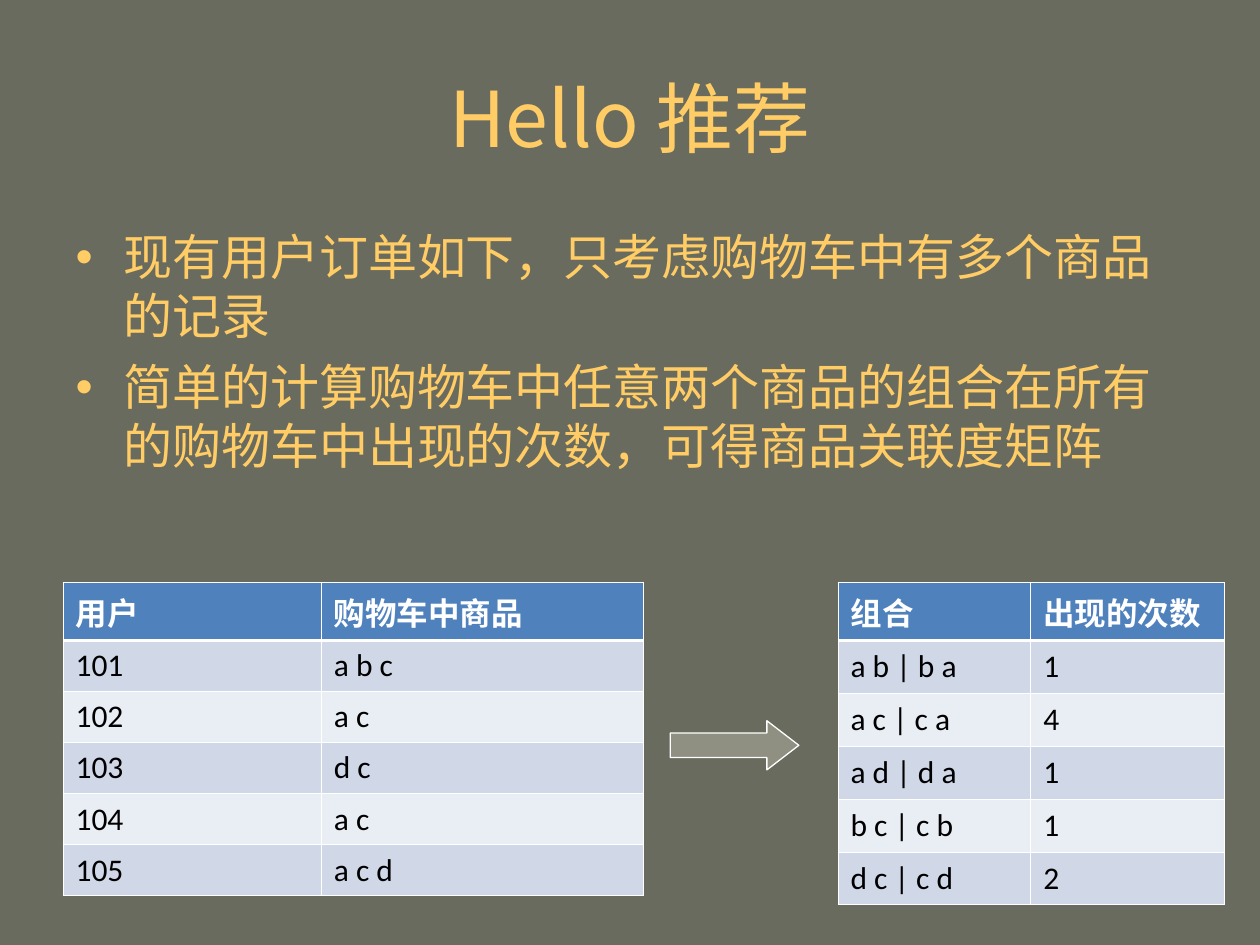
from lxml.etree import SubElement
from pptx import Presentation
from pptx.dml.color import RGBColor
from pptx.enum.shapes import MSO_SHAPE
from pptx.enum.text import MSO_ANCHOR, PP_ALIGN
from pptx.oxml.ns import qn
from pptx.util import Inches, Pt


def color(hex_value):
    return RGBColor.from_string(hex_value)


class SlideBuilder:
    """Holds the style and the current slide."""

    accent = "FFCC66"
    white = "FFFFFF"
    header_fill = "4F81BD"
    band_fills = ("D0D8E8", "E9EDF4")
    east_asian_font = "Noto Sans CJK SC"
    thin, thick = 0.45, 1.47

    def __init__(self, presentation, background):
        layout = presentation.slide_layouts[1]
        self.slide = presentation.slides.add_slide(layout)
        fill = self.slide.background.fill
        fill.solid()
        fill.fore_color.rgb = color(background)

    def place(self, shape, left, top, width, height):
        position = {"left": left, "top": top, "width": width, "height": height}
        for name, value in position.items():
            setattr(shape, name, Inches(value))

    def add_text(self, paragraph, text, hex_value, **font_format):
        run = paragraph.add_run()
        run.text = text
        for name, value in font_format.items():
            setattr(run.font, name, value)
        run.font.color.rgb = color(hex_value)
        SubElement(run.font._element, qn("a:ea"), typeface=self.east_asian_font)

    def title(self, text, *box):
        shape = self.slide.shapes.title
        self.place(shape, *box)
        shape.text_frame.vertical_anchor = MSO_ANCHOR.MIDDLE
        paragraph = shape.text_frame.paragraphs[0]
        paragraph.alignment = PP_ALIGN.CENTER
        self.add_text(paragraph, text, self.accent, size=Pt(44), name=self.east_asian_font)

    def bullets(self, items, *box):
        shape = self.slide.placeholders[1]
        self.place(shape, *box)
        for index, text in enumerate(items):
            frame = shape.text_frame
            paragraph = frame.add_paragraph() if index else frame.paragraphs[0]
            paragraph.space_before = Pt(7 if index else 0)
            properties = paragraph._p.get_or_add_pPr()
            properties.set("marL", str(Inches(0.38)))
            properties.set("indent", str(-Inches(0.38)))
            SubElement(properties, qn("a:buChar"), char="•")
            self.add_text(paragraph, text, self.accent, size=Pt(28), name="Arial")

    def borders(self, cell, top, bottom):
        properties = cell._tc.get_or_add_tcPr()
        widths = {"L": self.thin, "R": self.thin, "T": top, "B": bottom}
        for side, width in widths.items():
            line = SubElement(properties, qn(f"a:ln{side}"), w=str(Pt(width)))
            fill = SubElement(line, qn("a:solidFill"))
            SubElement(fill, qn("a:srgbClr"), val=self.white)

    def table(self, rows, left, top, column_widths, row_height, header_height=0.45):
        heights = [header_height] + [row_height] * (len(rows) - 1)
        table = self.slide.shapes.add_table(
            len(rows), len(column_widths), Inches(left), Inches(top),
            Inches(sum(column_widths)), Inches(sum(heights))).table
        for column, width in zip(table.columns, column_widths):
            column.width = Inches(width)
        for row_index, (values, height) in enumerate(zip(rows, heights)):
            table.rows[row_index].height = Inches(height)
            header = row_index == 0
            fill = self.header_fill if header else self.band_fills[(row_index - 1) % 2]
            for column_index, text in enumerate(values):
                cell = table.cell(row_index, column_index)
                self.borders(cell, self.thick if row_index == 1 else self.thin,
                             self.thick if header else self.thin)
                cell.fill.solid()
                cell.fill.fore_color.rgb = color(fill)
                cell.vertical_anchor = MSO_ANCHOR.MIDDLE
                self.add_text(cell.text_frame.paragraphs[0], text,
                              self.white if header else "000000",
                              size=Pt(18), name="Calibri", bold=header)

    def arrow(self, fill, *box):
        shape = self.slide.shapes.add_shape(
            MSO_SHAPE.RIGHT_ARROW, *[Inches(value) for value in box])
        shape.shadow.inherit = False
        shape.adjustments[0] = 0.5
        shape.adjustments[1] = 0.65
        shape.fill.solid()
        shape.fill.fore_color.rgb = color(fill)
        shape.line.color.rgb = color(self.white)
        shape.line.width = Pt(0.75)


def main():
    presentation = Presentation()
    presentation.slide_width = Inches(10)
    presentation.slide_height = Inches(7.5)
    builder = SlideBuilder(presentation, "686B5D")

    # Title and explanation
    builder.title("Hello 推荐", 0.5, 0.3, 9, 1.25)
    builder.bullets([
        "现有用户订单如下，只考虑购物车中有多个商品的记录",
        "简单的计算购物车中任意两个商品的组合在所有的购物车中出现的次数，可得商品关联度矩阵",
    ], 0.5, 1.75, 9, 4.95)

    # Orders by user
    orders = [("用户", "购物车中商品"), ("101", "a b c"), ("102", "a c"),
              ("103", "d c"), ("104", "a c"), ("105", "a c d")]
    builder.table(orders, 0.5, 4.62, (2.05, 2.56), 0.4)

    # Counts of product pairs
    pair_counts = [("组合", "出现的次数"), ("a b | b a", "1"), ("a c | c a", "4"),
                   ("a d | d a", "1"), ("b c | c b", "1"), ("d c | c d", "2")]
    builder.table(pair_counts, 6.65, 4.62, (1.53, 1.54), 0.42)

    # Step from orders to counts
    builder.arrow("909082", 5.32, 5.72, 1.02, 0.39)

    presentation.save("out.pptx")


if __name__ == "__main__":
    main()
